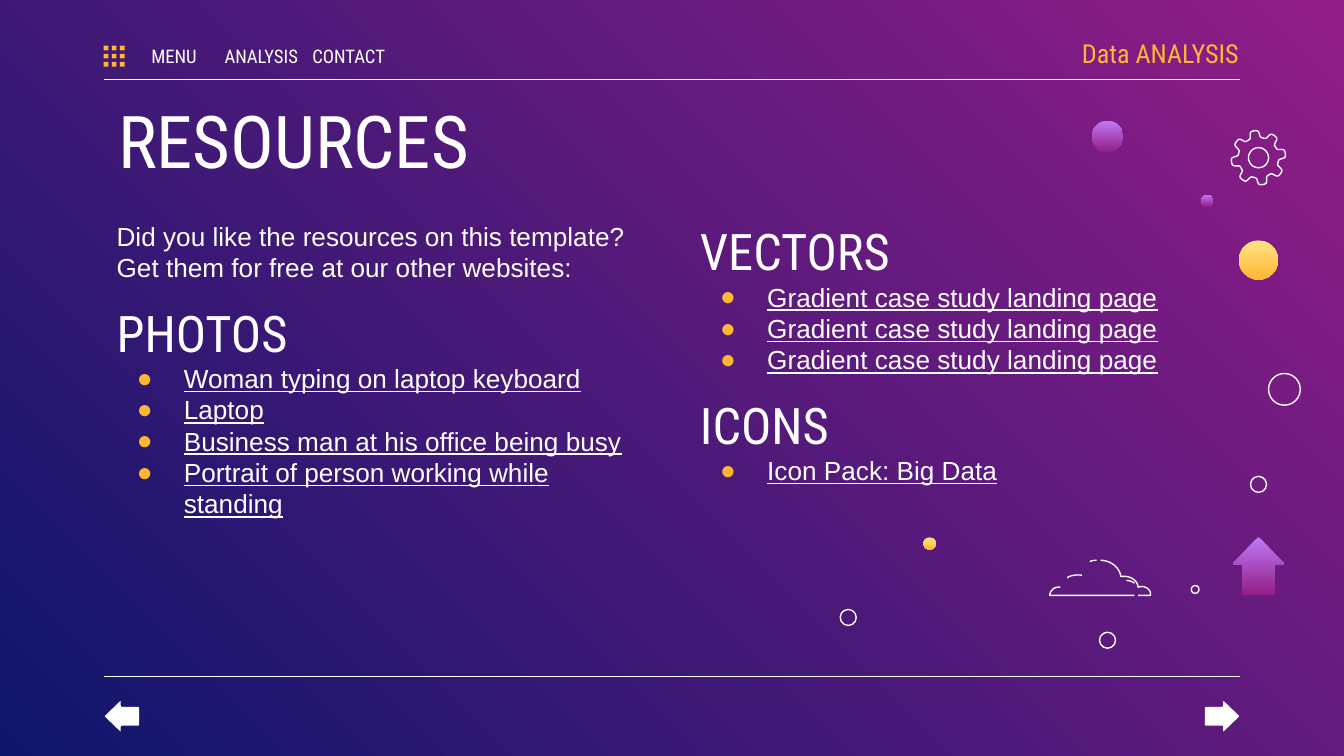
from dataclasses import dataclass
from math import atan, cos, pi, radians, sin, tanh

from lxml.etree import SubElement
from pptx import Presentation
from pptx.dml.color import RGBColor
from pptx.enum.shapes import MSO_CONNECTOR, MSO_SHAPE
from pptx.enum.text import MSO_ANCHOR, PP_ALIGN
from pptx.oxml.ns import qn
from pptx.util import Pt


@dataclass(frozen=True)
class Theme:
    white: str = "FFFFFF"
    amber: str = "FFB632"
    backdrop: tuple = ("921D87", "0E166C")
    gold: tuple = ("FFE485", "FFB632")
    violet: tuple = ("BE7AF3", "921D87")
    display: str = "Roboto Condensed"
    body: str = "Arial"
    title_size: float = 39
    heading_size: float = 27
    body_size: float = 14
    menu_size: float = 10
    line: float = 0.75


T = Theme()


def paint(fill, color, angle=270):
    if isinstance(color, tuple):
        fill.gradient()
        fill.gradient_angle = angle
        for stop, rgb in zip(fill.gradient_stops, color):
            stop.color.rgb = RGBColor.from_string(rgb)
    else:
        fill.solid()
        fill.fore_color.rgb = RGBColor.from_string(color)


def style(sp, fill=None):
    sp.shadow.inherit = False
    if fill:
        paint(sp.fill, fill)
        sp.line.fill.background()
    else:
        sp.fill.background()
        sp.line.color.rgb = RGBColor.from_string(T.white)
        sp.line.width = Pt(T.line)


def add_rule(s, y):
    c = s.shapes.add_connector(MSO_CONNECTOR.STRAIGHT, Pt(55.6), Pt(y), Pt(664.4), Pt(y))
    c.line.color.rgb = RGBColor.from_string(T.white)
    c.line.width = Pt(T.line)
    SubElement(c._element.spPr, qn("a:effectLst"))


def add_circle(s, x, y, d, fill=None):
    sp = s.shapes.add_shape(MSO_SHAPE.OVAL, Pt(x - d / 2), Pt(y - d / 2), Pt(d), Pt(d))
    style(sp, fill)


def add_outline(s, points, fill=None, close=True):
    pts = [(Pt(x), Pt(y)) for x, y in points]
    builder = s.shapes.build_freeform(*pts[0])
    builder.add_line_segments(pts[1:], close=close)
    style(builder.convert_to_shape(), fill)


def bezier(a, b, c, d, steps=12):
    for i in range(steps + 1):
        t = i / steps
        w = ((1 - t) ** 3, 3 * t * (1 - t) ** 2, 3 * t * t * (1 - t), t ** 3)
        yield tuple(sum(k * p[axis] for k, p in zip(w, (a, b, c, d))) for axis in (0, 1))


def toward(a, b, dist):
    length = ((b[0] - a[0]) ** 2 + (b[1] - a[1]) ** 2) ** 0.5
    return tuple(m + (n - m) * dist / length for m, n in zip(a, b))


def rounded(corners, radius):
    points = []
    for i, corner in enumerate(corners):
        start = toward(corner, corners[i - 1], radius)
        end = toward(corner, corners[(i + 1) % len(corners)], radius)
        points += bezier(start, corner, corner, end, 6)
    return points


def add_arrow(s, tip, heading, length, width, radius, fill):
    dx, dy = heading
    half = [(0.53, 0.47), (0.32, 0.47), (0.32, 1)]
    profile = [(0, 0)] + half + [(-u, v) for u, v in reversed(half)]
    corners = [(tip[0] - v * length * dx - u * width * dy,
                tip[1] - v * length * dy + u * width * dx) for u, v in profile]
    add_outline(s, rounded(corners, radius), fill)


def add_gear(s, x, y, teeth=8, steps=240):
    points = []
    for i in range(steps):
        a = 2 * pi * i / steps
        r = 12.7 + 1.9 * tanh(2.5 * cos(teeth * (a - radians(36))))
        points.append((x + r * cos(a), y + r * sin(a)))
    add_outline(s, points)
    add_circle(s, x, y, 10.8)


def add_cloud(s):
    right = [(589.7, 300.2), (594.7, 300.2), (599.8, 303.8), (600.5, 308.9),
             (604.8, 308.2), (609.1, 310.3), (609.8, 314.6),
             (613.4, 313.2), (617, 316.1), (616.3, 319)]
    puffs = [p for i in (0, 3, 6) for p in bezier(*right[i:i + 4])]
    left = bezier((562.3, 319), (562.3, 319), (563, 313.9), (568.1, 314.6))
    strokes = [puffs + [(609.8, 319)], [(607.7, 319), *left]]
    for start, bend, end in [
        ((587.5, 300.2), (584.6, 300.2), (583.9, 301)),
        ((603.4, 311), (606.2, 311), (607.7, 312.5)),
        ((579.6, 308.2), (574.6, 307.4), (571.7, 309.6)),
    ]:
        strokes.append(list(bezier(start, start, bend, end)))
    for stroke in strokes:
        add_outline(s, stroke, close=False)


def set_font(p, font, size, color=T.white, underline=False):
    for r in p.runs:
        r.font.name = font
        r.font.size = Pt(size)
        r.font.color.rgb = RGBColor.from_string(color)
        r.font.underline = underline


def add_box(s, x, y, w, h, side=(7.2, 7.2), anchor=MSO_ANCHOR.TOP):
    tf = s.shapes.add_textbox(Pt(x), Pt(y), Pt(w), Pt(h)).text_frame
    tf.word_wrap = True
    tf.vertical_anchor = anchor
    tf.margin_left, tf.margin_right = map(Pt, side)
    tf.margin_top = tf.margin_bottom = Pt(7.2)
    return tf


def add_label(s, text, box, size, color=T.white, align=PP_ALIGN.LEFT, **frame):
    p = add_box(s, *box, **frame).paragraphs[0]
    p.text = text
    p.alignment = align
    set_font(p, T.display, size, color)


def add_bullet(p):
    pPr = p._p.get_or_add_pPr()
    pPr.set("marL", str(Pt(36)))
    pPr.set("indent", str(Pt(-25.2)))
    SubElement(SubElement(pPr, qn("a:buClr")), qn("a:srgbClr"), val=T.amber)
    SubElement(pPr, qn("a:buFont"), typeface=T.body)
    SubElement(pPr, qn("a:buChar"), char="●")


def add_column(s, x, items):
    tf = add_box(s, x, 110.9, 296.6, 208)
    for i, (kind, text) in enumerate(items):
        p = tf.add_paragraph() if i else tf.paragraphs[0]
        p.text = text
        if kind == "heading":
            set_font(p, T.display, T.heading_size)
            p.space_before = Pt(10 if i else 0)
        else:
            if kind == "link":
                add_bullet(p)
            set_font(p, T.body, T.body_size, underline=kind == "link")


def main():
    prs = Presentation()
    prs.slide_width, prs.slide_height = Pt(720), Pt(405)
    s = prs.slides.add_slide(prs.slide_layouts[6])
    paint(s.background.fill, T.backdrop, 225)
    for y in (42.5, 362.5):
        add_rule(s, y)

    add_column(s, 55.4, [
        ("text", "Did you like the resources on this template? Get them for free at our other websites:"),
        ("heading", "PHOTOS"),
        ("link", "Woman typing on laptop keyboard"),
        ("link", "Laptop"),
        ("link", "Business man at his office being busy"),
        ("link", "Portrait of person working while standing"),
    ])
    add_column(s, 367.9, [
        ("heading", "VECTORS"),
        *[("link", "Gradient case study landing page")] * 3,
        ("heading", "ICONS"),
        ("link", "Icon Pack: Big Data"),
    ])
    add_label(s, "RESOURCES", (56.2, 43.9, 607.7, 47.5), T.title_size)
    add_label(s, "Data ANALYSIS", (555.8, 16.6, 108, 23.8), T.body_size, T.amber,
              PP_ALIGN.RIGHT, side=(7.2, 0), anchor=MSO_ANCHOR.MIDDLE)
    for i, text in enumerate(("MENU", "ANALYSIS", "CONTACT")):
        add_label(s, text, (72.7 + 46.8 * i, 21.6, 41, 16.6), T.menu_size,
                  align=PP_ALIGN.CENTER, side=(0, 0), anchor=MSO_ANCHOR.MIDDLE)
    for i in range(9):
        x, y = 55.6 + 4.35 * (i // 3), 24.5 + 4.35 * (i % 3)
        style(s.shapes.add_shape(MSO_SHAPE.RECTANGLE, Pt(x), Pt(y), Pt(2.5), Pt(2.5)), T.amber)

    for tip, side in ((56, -1), (664, 1)):
        add_arrow(s, (tip, 383.7), (side, 0), 18.5, 15.8, 1.2, T.white)
    add_arrow(s, (674.2, 287.6), (0, -1), 31.4, 26.6, 1.6, T.violet)
    for x, y, d, fill in [
        (674.2, 139.3, 21, T.gold), (498, 291.2, 6.6, T.gold),
        (593.3, 73.1, 16.8, T.violet), (646.7, 107.6, 6.6, T.violet),
        (688.1, 208.6, 17, None), (674.2, 259.5, 8.6, None),
        (593.3, 343, 8.6, None), (454.4, 330.8, 8.6, None),
        (640.3, 315.8, 4.2, None),
    ]:
        add_circle(s, x, y, d, fill)
    add_cloud(s)
    add_gear(s, 674.2, 84.5)
    prs.save("out.pptx")


if __name__ == "__main__":
    main()
